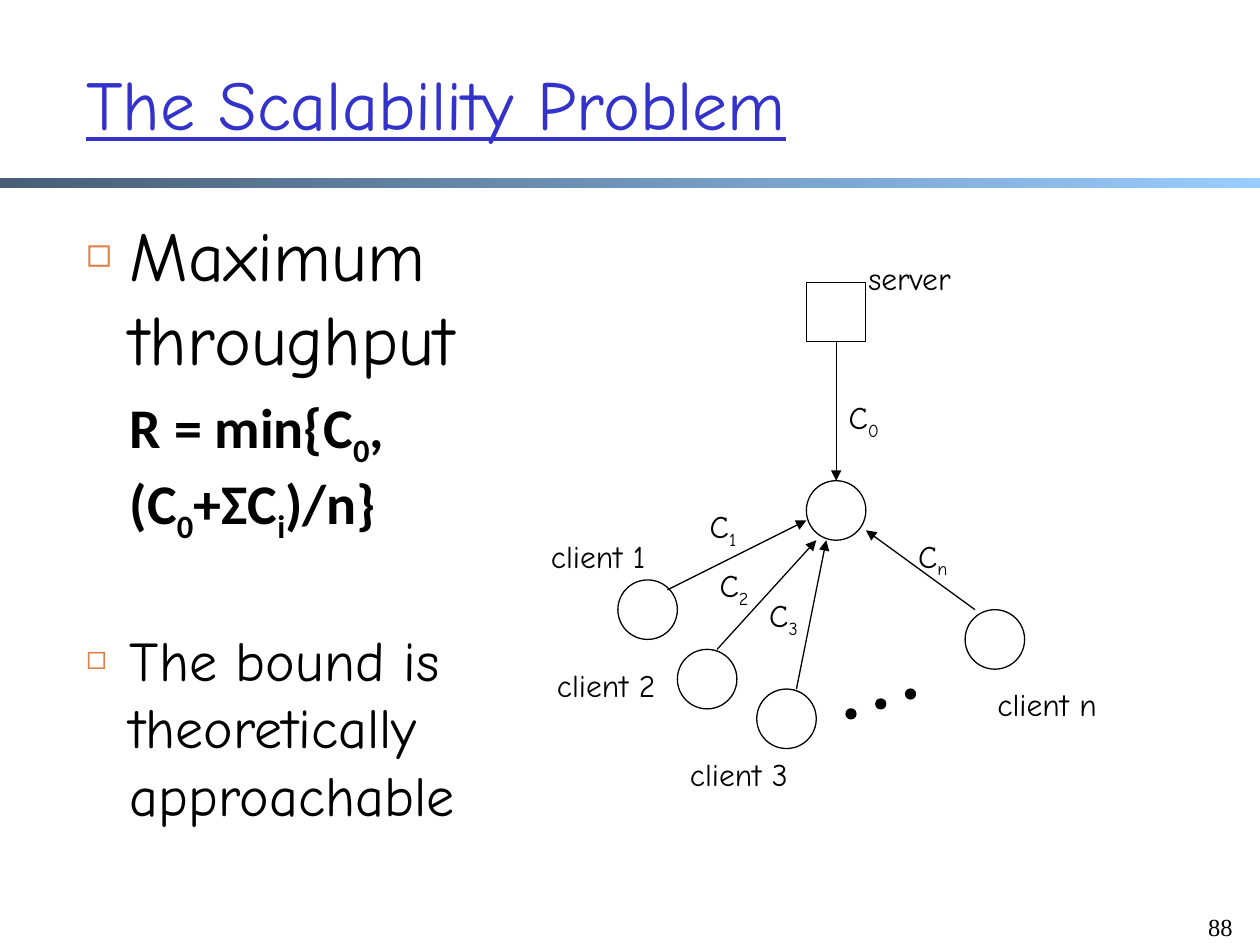
"""Build the slide on the scalability bound of a client and server network."""
from dataclasses import dataclass

from lxml.etree import SubElement
from pptx import Presentation
from pptx.dml.color import RGBColor
from pptx.enum.shapes import MSO_CONNECTOR, MSO_SHAPE
from pptx.enum.text import MSO_ANCHOR, MSO_AUTO_SIZE, PP_ALIGN
from pptx.oxml.ns import qn
from pptx.util import Pt


@dataclass(frozen=True)
class Theme:
    ink: str = "000000"
    blue: str = "3333CC"
    mark: str = "DD8047"
    dark: str = "475E76"
    light: str = "99CCFF"
    hand: str = "Comic Neue"
    sans: str = "Calibri"
    serif: str = "Times New Roman"
    head: int = 40
    body: int = 32
    label: int = 18
    page: int = 14
    line: float = 0.75
    left: float = 460.8
    top: float = 161.3
    unit: float = 5.67


class Deck:
    def __init__(self, theme):
        self.theme = theme
        self.file = Presentation()
        self.file.slide_width, self.file.slide_height = Pt(720), Pt(540)
        self.slide = self.file.slides.add_slide(self.file.slide_layouts[1])
        self.shapes = self.slide.shapes

    def apply(self, item, form):
        for key, value in form.items():
            setattr(item, key, value)

    def place(self, item, box):
        self.apply(item, dict(zip(("left", "top", "width", "height"), map(Pt, box))))

    def spot(self, col, row):
        t = self.theme
        return t.left + col * t.unit, t.top + row * t.unit

    def letter(self, para, text, size, name, tint=None, **form):
        for i, part in enumerate(text.split("|")):
            run = para.add_run()
            run.text = part
            self.apply(run.font, {"size": Pt(size), "name": name, **form})
            run.font.color.rgb = RGBColor.from_string(tint or self.theme.ink)
            if i % 2:
                run.font._element.set("baseline", "-25000")

    def title(self, text, box):
        item, t = self.shapes.title, self.theme
        self.place(item, box)
        self.apply(item.text_frame, {"vertical_anchor": MSO_ANCHOR.MIDDLE,
                                     "auto_size": MSO_AUTO_SIZE.NONE})
        para = item.text_frame.paragraphs[0]
        para.alignment = PP_ALIGN.LEFT
        self.letter(para, text, t.head, t.hand, t.blue, underline=True)

    def body(self, rows, box):
        item = self.slide.placeholders[1]
        self.place(item, box)
        frame = item.text_frame
        frame.auto_size = MSO_AUTO_SIZE.NONE
        for i, (text, size, name, mark, gap) in enumerate(rows):
            para = frame.add_paragraph() if i else frame.paragraphs[0]
            self.bullet(para, mark)
            para.space_before = Pt(gap)
            self.letter(para, text, size, name, bold=not mark)

    def bullet(self, para, mark):
        props = para._p.get_or_add_pPr()
        props.set("marL", str(Pt(25)))
        props.set("indent", str(Pt(-25 if mark else 0)))
        if not mark:
            SubElement(props, qn("a:buNone"))
            return
        tint = SubElement(props, qn("a:buClr"))
        SubElement(tint, qn("a:srgbClr"), val=self.theme.mark)
        SubElement(props, qn("a:buSzPct"), val="60000")
        SubElement(props, qn("a:buChar"), char=mark)

    def text(self, text, box, size, name, align=PP_ALIGN.LEFT):
        frame = self.shapes.add_textbox(*map(Pt, box)).text_frame
        frame.word_wrap = True
        para = frame.paragraphs[0]
        para.alignment = align
        self.letter(para, text, size, name)

    def label(self, text, col, row, width):
        t = self.theme
        self.text(text, (*self.spot(col, row), width, 29), t.label, t.hand)

    def bar(self, box):
        item = self.shapes.add_shape(MSO_SHAPE.RECTANGLE, *map(Pt, box))
        item.shadow.inherit = False
        item.line.fill.background()
        item.fill.gradient()
        item.fill.gradient_angle = 0
        for stop, tint in zip(item.fill.gradient_stops, (self.theme.dark, self.theme.light)):
            stop.color.rgb = RGBColor.from_string(tint)

    def node(self, kind, col, row, span=6, solid=False):
        t = self.theme
        size = Pt(span * t.unit)
        item = self.shapes.add_shape(kind, *map(Pt, self.spot(col, row)), size, size)
        item.shadow.inherit = False
        if solid:
            item.fill.solid()
            item.fill.fore_color.rgb = RGBColor.from_string(t.ink)
        else:
            item.fill.background()
        self.stroke(item.line)

    def stroke(self, line):
        line.color.rgb = RGBColor.from_string(self.theme.ink)
        line.width = Pt(self.theme.line)

    def arrow(self, start, end):
        ends = map(Pt, (*self.spot(*start), *self.spot(*end)))
        item = self.shapes.add_connector(MSO_CONNECTOR.STRAIGHT, *ends)
        self.stroke(item.line)
        props = item._element.spPr
        SubElement(props.find(qn("a:ln")), qn("a:tailEnd"), type="triangle")
        SubElement(props, qn("a:effectLst"))


def main():
    t = Theme()
    deck = Deck(t)
    deck.bar((0, 101.5, 720, 6))
    deck.title("The Scalability Problem", (42, 13.5, 612, 90))
    deck.body([
        ("Maximum throughput", t.head, t.hand, "◻", 0),
        ("R = min{C|0|, (C|0|+ΣC|i|)/n}", t.body, t.sans, "", 7),
        ("The bound is theoretically approachable", t.body, t.hand, "◻", 46),
    ], (42, 117.5, 260, 366))
    deck.text("88", (675.5, 517.5, 36, 36), t.page, t.serif, PP_ALIGN.RIGHT)

    deck.node(MSO_SHAPE.RECTANGLE, 0, 0)
    for col, row in ((0, 20), (-19, 30), (-13, 37), (-5, 41), (16, 33)):
        deck.node(MSO_SHAPE.OVAL, col, row)
    for start, end in (((3, 6), (3, 20)), ((-14, 31), (0, 24)), ((-9, 37), (1, 26)),
                       ((-1, 41), (2, 26)), ((17, 33), (6, 25))):
        deck.arrow(start, end)
    for i in range(3):
        deck.node(MSO_SHAPE.OVAL, 4 + 3 * i, 43 - i, 1, True)

    deck.label("server", 5, -3, 96)
    for name, col, row in (("1", -27, 25), ("2", -26.4, 38), ("3", -13, 47), ("n", 18, 40)):
        deck.label(f"client {name}", col, row, 79)
    for name, col, row in (("0", 3, 11), ("1", -11, 22), ("2", -10, 28),
                           ("3", -5, 31), ("n", 10, 25)):
        deck.label(f"C|{name}", col, row, 51)
    deck.file.save("out.pptx")


if __name__ == "__main__":
    main()
